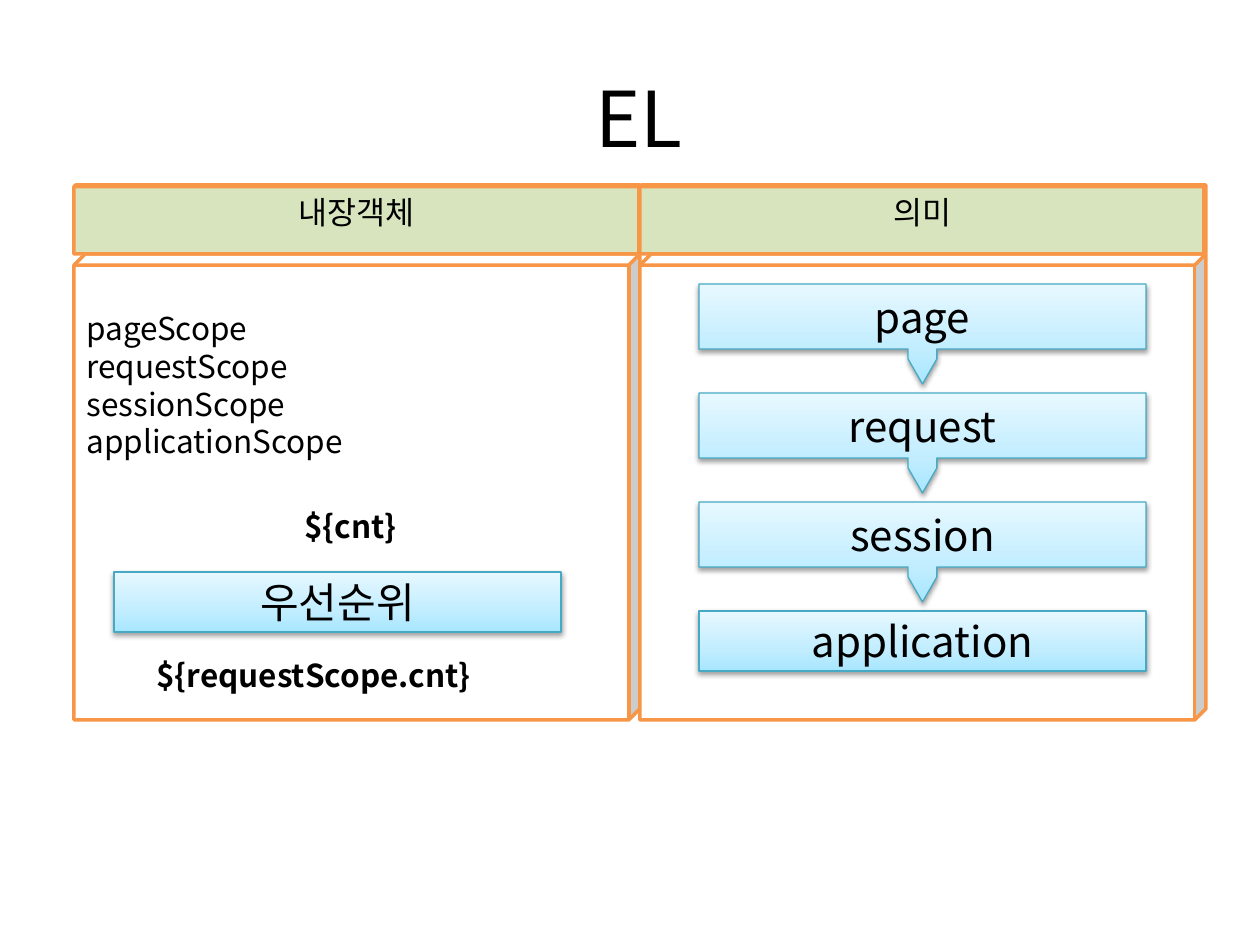
from typing import NamedTuple

from lxml.etree import SubElement
from pptx import Presentation
from pptx.dml.color import RGBColor
from pptx.enum.shapes import MSO_SHAPE
from pptx.enum.text import MSO_ANCHOR, PP_ALIGN
from pptx.oxml.ns import qn
from pptx.util import Emu, Pt

PX = 914400 // 126
FONT = "Noto Sans CJK KR"
BLACK = RGBColor(0x00, 0x00, 0x00)
WHITE = RGBColor(0xFF, 0xFF, 0xFF)
GREEN = RGBColor(0xD7, 0xE4, 0xBD)
ORANGE = RGBColor(0xF7, 0x96, 0x46)
TEAL = RGBColor(0x46, 0xAA, 0xC5)
GRADIENT = (
    (0, RGBColor(0xA7, 0xE6, 0xFF)),
    (35, RGBColor(0xC1, 0xED, 0xFF)),
    (100, RGBColor(0xE7, 0xF8, 0xFF)),
)


class Box(NamedTuple):
    left: int
    top: int
    width: int
    height: int

    def emu(self) -> list[Emu]:
        return [Emu(length * PX) for length in self]


class Panel(NamedTuple):
    box: Box
    fill: RGBColor
    text: str = ""
    align: PP_ALIGN = PP_ALIGN.LEFT
    margin_top: int = 6


class Callout(NamedTuple):
    box: Box
    text: str
    has_arrow: bool


class Label(NamedTuple):
    box: Box
    text: str


def write(shape, text: str, size: int, align: PP_ALIGN, anchor: MSO_ANCHOR,
          bold: bool = False) -> None:
    frame = shape.text_frame
    frame.word_wrap = True
    frame.vertical_anchor = anchor
    frame.text = text
    for paragraph in frame.paragraphs:
        paragraph.alignment = align
        for run in paragraph.runs:
            run.font.name = FONT
            run.font.size = Pt(size)
            run.font.bold = bold
            run.font.color.rgb = BLACK
            SubElement(run.font._element, qn("a:ea"), typeface=FONT)


def add_panel(shapes, panel: Panel) -> None:
    cube = shapes.add_shape(MSO_SHAPE.CUBE, *panel.box.emu())
    cube.adjustments[0] = 0.024
    cube.shadow.inherit = False
    cube.fill.solid()
    cube.fill.fore_color.rgb = panel.fill
    cube.line.color.rgb = ORANGE
    cube.line.width = Pt(2)
    if panel.text:
        write(cube, panel.text, 18, panel.align, MSO_ANCHOR.TOP)
        cube.text_frame.margin_top = Emu(panel.margin_top * PX)


def add_color(parent, color: RGBColor):
    return SubElement(parent, qn("a:srgbClr"), val=str(color))


def add_callout(shapes, callout: Callout) -> None:
    shape = shapes.add_shape(MSO_SHAPE.DOWN_ARROW_CALLOUT, *callout.box.emu())
    head, body = (0.25, 0.65) if callout.has_arrow else (0, 1)
    for index, value in enumerate((0.5, 0.144, head, body)):
        shape.adjustments[index] = value
    shape.line.color.rgb = TEAL
    shape.line.width = Pt(0.75)
    properties = shape._element.spPr

    # Three-stop gradient running upwards
    shape.fill.gradient()
    shape.fill.gradient_angle = 90
    stops = properties.find(".//" + qn("a:gsLst"))
    for stop in list(stops):
        stops.remove(stop)
    for position, color in GRADIENT:
        add_color(SubElement(stops, qn("a:gs"), pos=str(position * 1000)), color)

    # Soft shadow below
    shape.shadow.inherit = False
    shadow = SubElement(
        properties.find(qn("a:effectLst")), qn("a:outerShdw"),
        blurRad=str(Pt(3.1)), dist=str(Pt(1.6)), dir="5400000", rotWithShape="0")
    SubElement(add_color(shadow, BLACK), qn("a:alpha"), val="38000")
    write(shape, callout.text, 24, PP_ALIGN.CENTER, MSO_ANCHOR.MIDDLE)


def add_label(shapes, label: Label) -> None:
    write(shapes.add_textbox(*label.box.emu()), label.text, 18,
          PP_ALIGN.LEFT, MSO_ANCHOR.TOP, bold=True)


presentation = Presentation()
presentation.slide_width = Emu(1260 * PX)
presentation.slide_height = Emu(945 * PX)
slide = presentation.slides.add_slide(presentation.slide_layouts[6])
shapes = slide.shapes

# Title
title = shapes.add_textbox(*Box(63, 38, 1134, 158).emu())
write(title, "EL", 44, PP_ALIGN.CENTER, MSO_ANCHOR.MIDDLE)
title.text_frame.margin_left = Emu(30 * PX)

# Two columns: bodies behind, headers in front
COLUMN_LEFT, COLUMN_WIDTH = 74, 566
HEADER_TOP, HEADER_HEIGHT, BODY_HEIGHT = 185, 69, 466
SCOPES = "pageScope\nrequestScope\nsessionScope\napplicationScope"
COLUMNS = (("내장객체", SCOPES), ("의미", ""))
for column, (_, content) in enumerate(COLUMNS):
    body_box = Box(COLUMN_LEFT + column * COLUMN_WIDTH, HEADER_TOP + HEADER_HEIGHT,
                   COLUMN_WIDTH, BODY_HEIGHT)
    add_panel(shapes, Panel(body_box, WHITE, content, margin_top=44))
for column, (heading, _) in enumerate(COLUMNS):
    header_box = Box(COLUMN_LEFT + column * COLUMN_WIDTH, HEADER_TOP,
                     COLUMN_WIDTH, HEADER_HEIGHT)
    add_panel(shapes, Panel(header_box, GREEN, heading, PP_ALIGN.CENTER))

# Lookup order of the scopes
CALLOUT_WIDTH, ARROW_HEIGHT, PLAIN_HEIGHT = 447, 100, 60
SCOPE_LEFT, SCOPE_TOP, SCOPE_PITCH = 699, 284, 109
SCOPE_ORDER = ("page", "request", "session", "application")
for step, scope in enumerate(SCOPE_ORDER):
    has_arrow = step < len(SCOPE_ORDER) - 1
    scope_box = Box(SCOPE_LEFT, SCOPE_TOP + step * SCOPE_PITCH, CALLOUT_WIDTH,
                    ARROW_HEIGHT if has_arrow else PLAIN_HEIGHT)
    add_callout(shapes, Callout(scope_box, scope, has_arrow))

# Priority note with its expressions
add_callout(shapes, Callout(Box(114, 572, CALLOUT_WIDTH, PLAIN_HEIGHT), "우선순위", False))
for expression in (
    Label(Box(292, 501, 209, 50), "${cnt}"),
    Label(Box(144, 650, 456, 50), "${requestScope.cnt}"),
):
    add_label(shapes, expression)

presentation.save("out.pptx")
